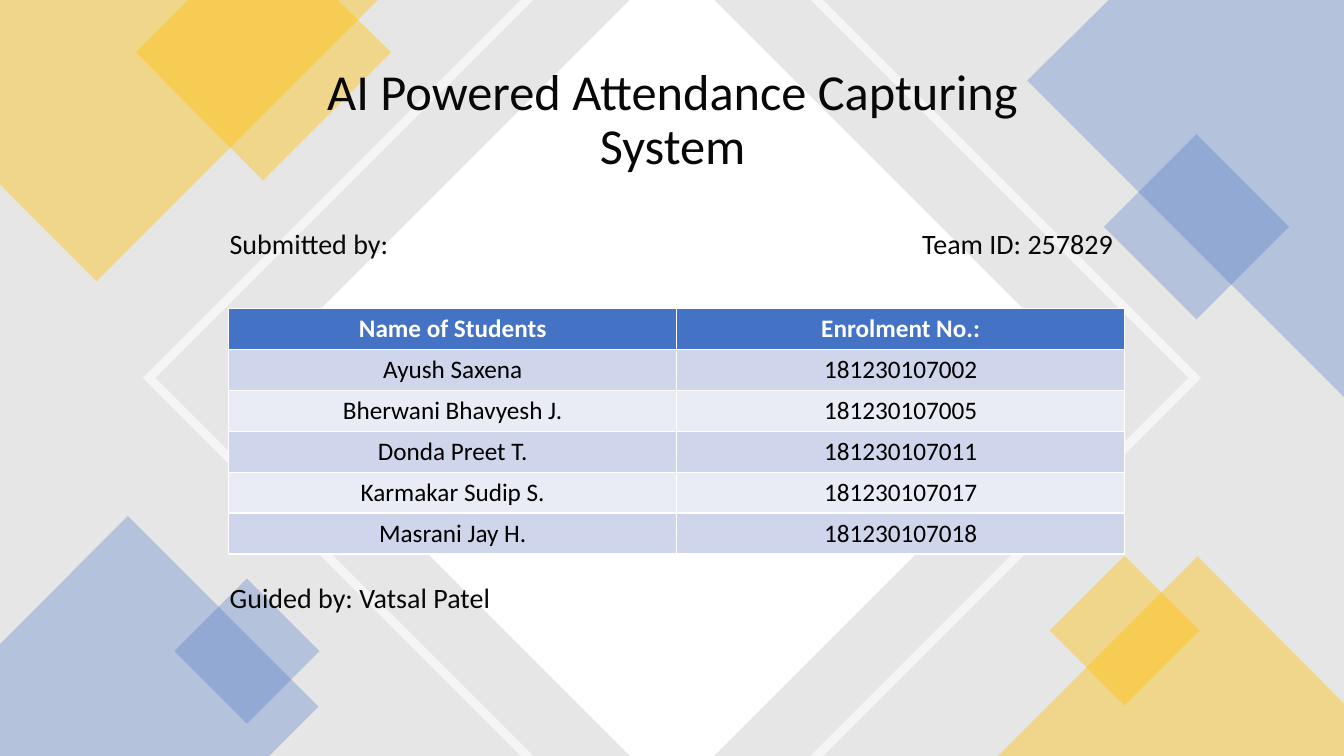
"""Build the title slide of a student project on attendance capturing."""
from lxml import etree
from pptx import Presentation
from pptx.dml.color import RGBColor
from pptx.enum import shapes, text
from pptx.oxml import ns
from pptx.util import Pt

WIDTH, HEIGHT = 960, 540
FONT = "Calibri"
COLORS = {
    "gray": "E7E6E6", "white": "FFFFFF", "yellow": "FFC000", "blue": "4472C4",
    "ink": "080808", "black": "000000", "band_dark": "CFD5EA", "band_light": "E9EBF5",
}
RIGHT_BAND = [(579, 0), (588, 0), (858, 270), (588, 540), (579, 540), (849, 270)]
LEFT_BAND = [(WIDTH - x, y) for x, y in RIGHT_BAND]

# color, opacity in percent, contours
POLYGONS = [
    ("yellow", 40, [[(0, 0), (270, 0), (69.1, 200.9), (0, 131.8)]]),
    ("yellow", 40, [[(134.6, 0), (241.2, 0), (279.4, 37.4), (187.9, 128.9), (97.2, 37.4)]]),
    ("blue", 30, [[(792, 0), (960, 0), (960, 283.7), (733.7, 57.6)]]),
    ("blue", 30, [[(91.4, 368.6), (227.5, 504.7), (192.2, 540), (0, 540), (0, 460.1)]]),
    ("white", 100, [[(450, 0), (510, 0), (780, 270), (510, 540), (450, 540), (180, 270)]]),
    ("white", 60, [RIGHT_BAND, LEFT_BAND]),
    ("yellow", 40, [[(855.4, 397.4), (960, 502.6), (960, 540), (712.8, 540)]]),
]
# color, opacity in percent, left, top, side
DIAMONDS = [
    ("blue", 30, 807.8, 115.2, 93.6),
    ("blue", 30, 139.7, 428.4, 73.4),
    ("yellow", 40, 765.4, 412.6, 75.6),
]
# wording, size, alignment, left, top, width, height
LABELS = [
    ("AI Powered Attendance Capturing System", 36, "CENTER", 208, 2, 545, 169),
    ("Submitted by:", 20, "LEFT", 164, 163, 240, 24),
    ("Team ID: 257829", 20, "RIGHT", 555, 163, 240, 24),
    ("Guided by: Vatsal Patel", 20, "LEFT", 164, 416, 300, 24),
]
STUDENTS = [
    ("Name of Students", "Enrolment No.:"),
    ("Ayush Saxena", "181230107002"),
    ("Bherwani Bhavyesh J.", "181230107005"),
    ("Donda Preet T.", "181230107011"),
    ("Karmakar Sudip S.", "181230107017"),
    ("Masrani Jay H.", "181230107018"),
]
TABLE_LEFT, TABLE_TOP, COL_WIDTH, ROW_HEIGHT = 163.4, 220.5, 320, 29.2


def rgb(name):
    """Return the named color."""
    return RGBColor.from_string(COLORS[name])


def paint(sp, color, opacity=100):
    """Give a shape a plain fill without line or shadow."""
    sp.shadow.inherit = False
    sp.line.fill.background()
    sp.fill.solid()
    sp.fill.fore_color.rgb = rgb(color)
    if opacity < 100:
        clr = sp.element.spPr.find(ns.qn("a:solidFill")).find(ns.qn("a:srgbClr"))
        etree.SubElement(clr, ns.qn("a:alpha"), val=str(opacity * 1000))


def style(p, size, color, align, bold=False):
    """Set the font and alignment of a paragraph."""
    p.alignment = align
    p.font.name, p.font.size, p.font.bold = FONT, Pt(size), bold
    p.font.color.rgb = rgb(color)


def add_rect(slide, left, top, width, height):
    """Add a rectangle measured in points."""
    return slide.shapes.add_shape(
        shapes.MSO_SHAPE.RECTANGLE, Pt(left), Pt(top), Pt(width), Pt(height))


def add_polygon(slide, contours):
    """Add one freeform made of closed contours."""
    rings = [[(Pt(x), Pt(y)) for x, y in ring] for ring in contours]
    builder = slide.shapes.build_freeform(*rings[0][0])
    for i, ring in enumerate(rings):
        if i:
            builder.move_to(*ring[0])
        builder.add_line_segments(ring[1:], close=True)
    return builder.convert_to_shape()


def add_label(slide, wording, size, align, *box):
    """Add a wrapped text box without insets."""
    tf = slide.shapes.add_textbox(*map(Pt, box)).text_frame
    tf.word_wrap = True
    tf.margin_left = tf.margin_right = tf.margin_top = tf.margin_bottom = 0
    tf.vertical_anchor = text.MSO_ANCHOR.MIDDLE
    p = tf.paragraphs[0]
    p.text, p.line_spacing = wording, 0.9
    style(p, size, "ink", text.PP_ALIGN[align])


def add_students(slide):
    """Add the table of students."""
    rows, cols = len(STUDENTS), len(STUDENTS[0])
    table = slide.shapes.add_table(
        rows, cols, Pt(TABLE_LEFT), Pt(TABLE_TOP),
        Pt(cols * COL_WIDTH), Pt(rows * ROW_HEIGHT)).table
    for r, values in enumerate(STUDENTS):
        header = r == 0
        fill = "blue" if header else "band_dark" if r % 2 else "band_light"
        for c, value in enumerate(values):
            cell = table.cell(r, c)
            cell.fill.solid()
            cell.fill.fore_color.rgb = rgb(fill)
            p = cell.text_frame.paragraphs[0]
            p.text = value
            style(p, 18, "white" if header else "black", text.PP_ALIGN.CENTER, header)


def main():
    """Assemble and save the slide."""
    prs = Presentation()
    prs.slide_width, prs.slide_height = Pt(WIDTH), Pt(HEIGHT)
    slide = prs.slides.add_slide(prs.slide_layouts[6])
    paint(add_rect(slide, 0, 0, WIDTH, HEIGHT), "gray")
    for color, opacity, contours in POLYGONS:
        paint(add_polygon(slide, contours), color, opacity)
    for color, opacity, left, top, side in DIAMONDS:
        sp = add_rect(slide, left, top, side, side)
        sp.rotation = 45
        paint(sp, color, opacity)
    for label in LABELS:
        add_label(slide, *label)
    add_students(slide)
    prs.save("out.pptx")


if __name__ == "__main__":
    main()
